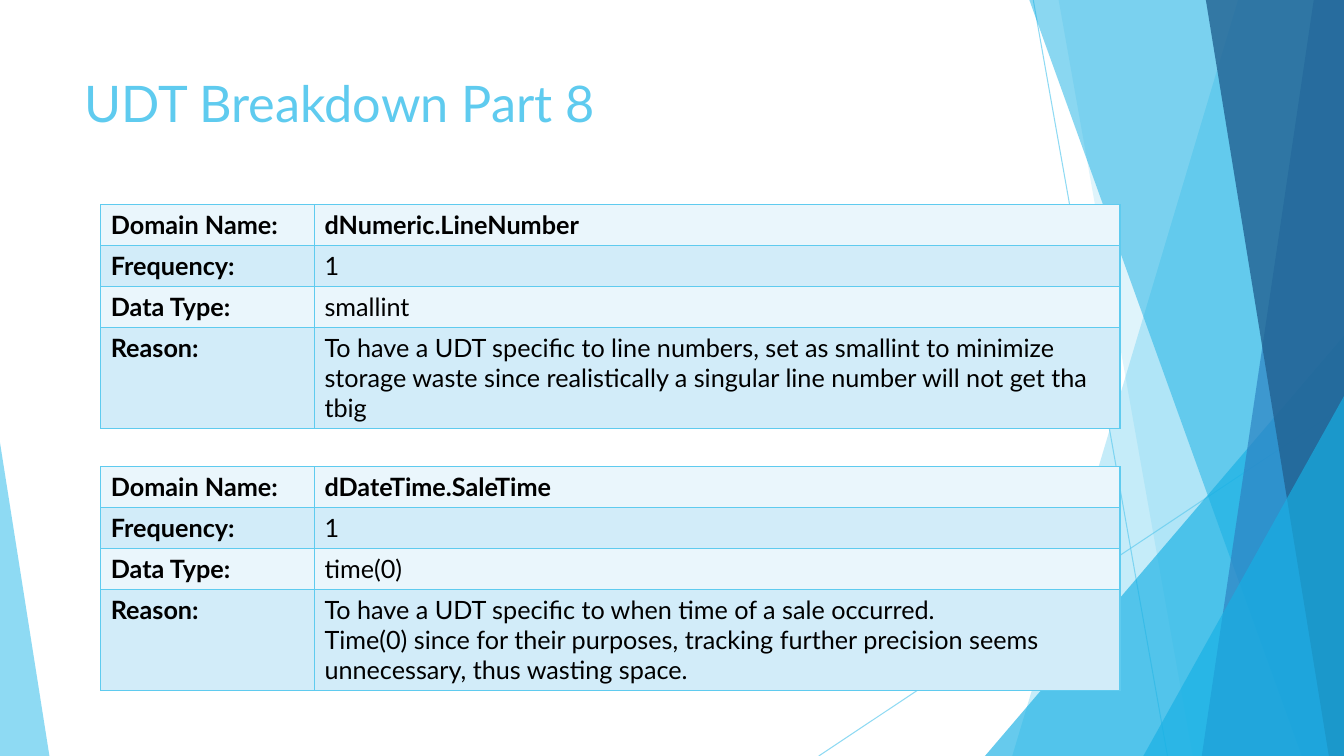
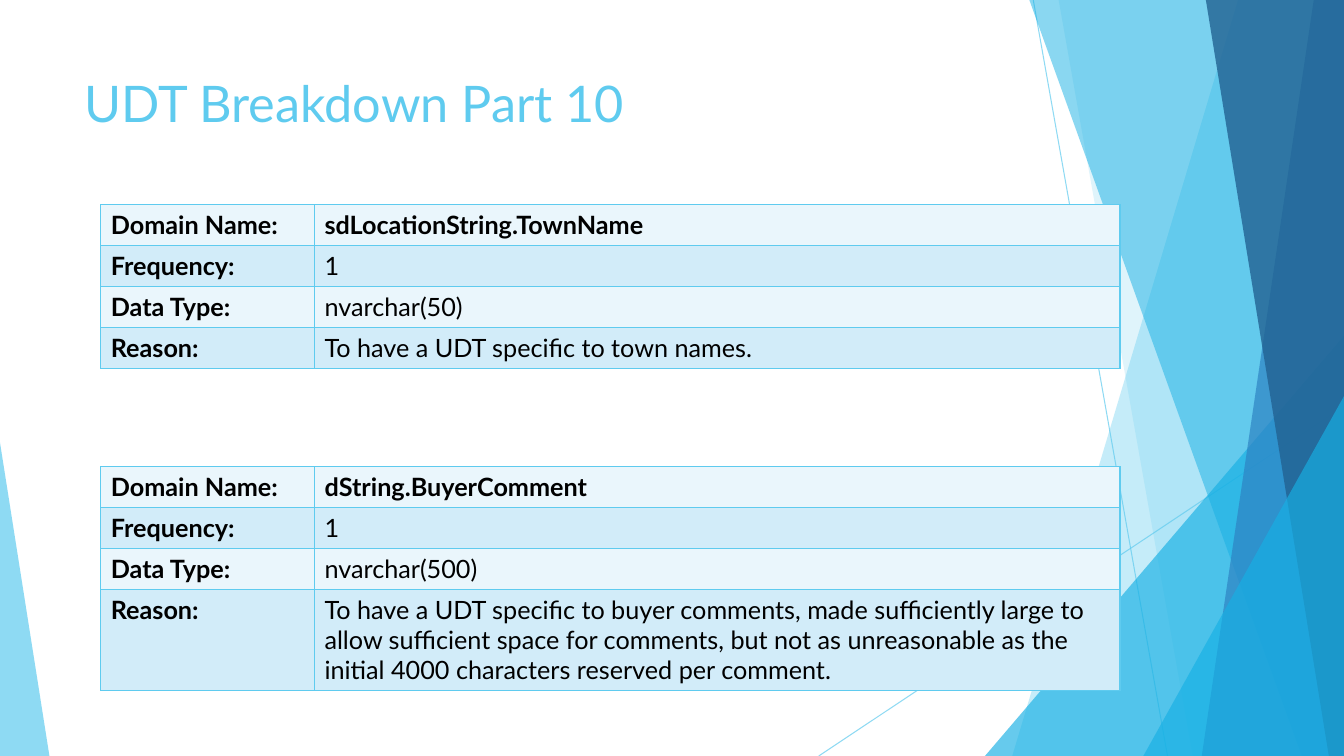
from pptx import Presentation
from pptx.dml.color import RGBColor
from pptx.enum.shapes import MSO_CONNECTOR, MSO_SHAPE
from pptx.enum.text import MSO_ANCHOR
from pptx.oxml.ns import qn
from pptx.util import Inches, Pt
from lxml.etree import SubElement

WIDTH, HEIGHT = Inches(13.33), Inches(7.5)
FONT = "Lato"
SKY = RGBColor(0x5F, 0xCB, 0xEF)
CYAN = RGBColor(0x17, 0xB0, 0xE4)
BLUE = RGBColor(0x2E, 0x83, 0xC3)
NAVY = RGBColor(0x22, 0x62, 0x92)
BLACK = RGBColor(0x00, 0x00, 0x00)
ROW_FILLS = (RGBColor(0xEA, 0xF6, 0xFC), RGBColor(0xD2, 0xEC, 0xF9))

TITLE_BOX = (5.55, 8.93, 70.52, 16.4)
TABLE_LEFT = 7.5
TABLE_TOPS = (27.07, 61.73)
COLUMNS = (15.9, 59.94)
ROW_HEIGHT = 5.41
LABELS = ("Domain Name:", "Frequency:", "Data Type:", "Reason:")

SLIDES = {
    "UDT Breakdown Part 8": (
        ("dNumeric.LineNumber", "1", "smallint",
         "To have a UDT specific to line numbers, set as smallint to minimize "
         "storage waste since realistically a singular line number will not get tha tbig"),
        ("dDateTime.SaleTime", "1", "time(0)",
         "To have a UDT specific to when time of a sale occurred.\n"
         "Time(0) since for their purposes, tracking further precision seems "
         "unnecessary, thus wasting space."),
    ),
    "UDT Breakdown Part 10": (
        ("sdLocationString.TownName", "1", "nvarchar(50)",
         "To have a UDT specific to town names."),
        ("dString.BuyerComment", "1", "nvarchar(500)",
         "To have a UDT specific to buyer comments, made sufficiently large to "
         "allow sufficient space for comments, but not as unreasonable as the "
         "initial 4000 characters reserved per comment."),
    ),
}


def across(percent):
    """Turn a percentage of the slide width into a length."""
    return round(WIDTH * percent / 100)


def down(percent):
    """Turn a percentage of the slide height into a length."""
    return round(HEIGHT * percent / 100)


def set_opacity(shape, percent):
    """Make the shape's coloured fill or line partly transparent."""
    for color in shape._element.spPr.iter(qn("a:srgbClr")):
        SubElement(color, qn("a:alpha")).set("val", str(percent * 1000))


def style_text(paragraph, **values):
    """Set font attributes on a paragraph."""
    color = values.pop("color")
    for name, value in {"name": FONT, **values}.items():
        setattr(paragraph.font, name, value)
    paragraph.font.color.rgb = color


def paint(shape, color, opacity):
    """Give a shape a translucent fill without outline or shadow."""
    shape.shadow.inherit = False
    shape.fill.solid()
    shape.fill.fore_color.rgb = color
    shape.line.fill.background()
    set_opacity(shape, opacity)


def add_ray(slide, start_x, start_y, end_x):
    """Draw a thin line running to the bottom edge."""
    ray = slide.shapes.add_connector(
        MSO_CONNECTOR.STRAIGHT, across(start_x), down(start_y), across(end_x), HEIGHT)
    ray.line.width = Pt(0.75)
    ray.line.color.rgb = SKY
    set_opacity(ray, 70)
    SubElement(ray._element.spPr, qn("a:effectLst"))


def add_band(slide, top_x, bottom_x, color, opacity):
    """Draw a full-height band from a slanted edge to the right of the slide."""
    builder = slide.shapes.build_freeform(across(top_x), 0)
    builder.add_line_segments([(WIDTH, 0), (WIDTH, HEIGHT), (across(bottom_x), HEIGHT)])
    paint(builder.convert_to_shape(), color, opacity)


def add_corner(slide, left, right, top, peak, color, opacity):
    """Draw a right triangle standing on the bottom edge."""
    triangle = slide.shapes.add_shape(
        MSO_SHAPE.ISOSCELES_TRIANGLE, across(left), down(top),
        across(right - left), down(100 - top))
    triangle.adjustments[0] = peak
    paint(triangle, color, opacity)


def add_backdrop(slide):
    """Draw the facets shared by all slides, from back to front."""
    add_ray(slide, 76.88, 0, 86.87)
    add_ray(slide, 100, 53.73, 60.92)
    add_band(slide, 92.12, 75.32, SKY, 36)
    add_band(slide, 78.77, 88.75, SKY, 20)
    add_corner(slide, 73.29, 100, 44.4, 1, CYAN, 66)
    add_band(slide, 76.59, 96.85, CYAN, 50)
    add_band(slide, 97.75, 89.42, BLUE, 70)
    add_band(slide, 89.72, 98.87, NAVY, 80)
    add_corner(slide, 85.07, 100, 52.4, 1, CYAN, 66)
    add_corner(slide, 0, 3.68, 58.53, 0, SKY, 70)


def add_title(slide, text):
    """Add the slide title."""
    left, top, width, height = TITLE_BOX
    box = slide.shapes.add_textbox(across(left), down(top), across(width), down(height))
    frame = box.text_frame
    frame.word_wrap = True
    frame.vertical_anchor = MSO_ANCHOR.TOP
    paragraph = frame.paragraphs[0]
    paragraph.text = text
    style_text(paragraph, size=Pt(36), color=SKY)


def add_borders(cell):
    """Outline a table cell on all four sides."""
    properties = cell._tc.get_or_add_tcPr()
    for side in ("a:lnL", "a:lnR", "a:lnT", "a:lnB"):
        line = SubElement(properties, qn(side), w=str(Pt(1)))
        fill = SubElement(line, qn("a:solidFill"))
        SubElement(fill, qn("a:srgbClr"), val=str(SKY))


def fill_cell(cell, text, color, bold):
    """Write and format one table cell."""
    add_borders(cell)
    cell.fill.solid()
    cell.fill.fore_color.rgb = color
    paragraph = cell.text_frame.paragraphs[0]
    paragraph.text = text
    style_text(paragraph, size=Pt(18), bold=bold, color=BLACK)


def add_domain_table(slide, top, values):
    """Add a table of labels and values describing one domain."""
    table = slide.shapes.add_table(
        len(LABELS), len(COLUMNS), across(TABLE_LEFT), down(top),
        across(sum(COLUMNS)), down(ROW_HEIGHT * len(LABELS))).table
    table.first_row = table.horz_banding = False
    for column, width in zip(table.columns, COLUMNS):
        column.width = across(width)
    for index, row in enumerate(zip(LABELS, values)):
        table.rows[index].height = down(ROW_HEIGHT)
        for column, text in enumerate(row):
            bold = index == 0 or column == 0
            fill_cell(table.cell(index, column), text, ROW_FILLS[index % 2], bold)


def main():
    """Build and save the presentation."""
    presentation = Presentation()
    presentation.slide_width, presentation.slide_height = WIDTH, HEIGHT
    for title, domains in SLIDES.items():
        slide = presentation.slides.add_slide(presentation.slide_layouts[6])
        add_backdrop(slide)
        add_title(slide, title)
        for top, values in zip(TABLE_TOPS, domains):
            add_domain_table(slide, top, values)
    presentation.save("out.pptx")


if __name__ == "__main__":
    main()
